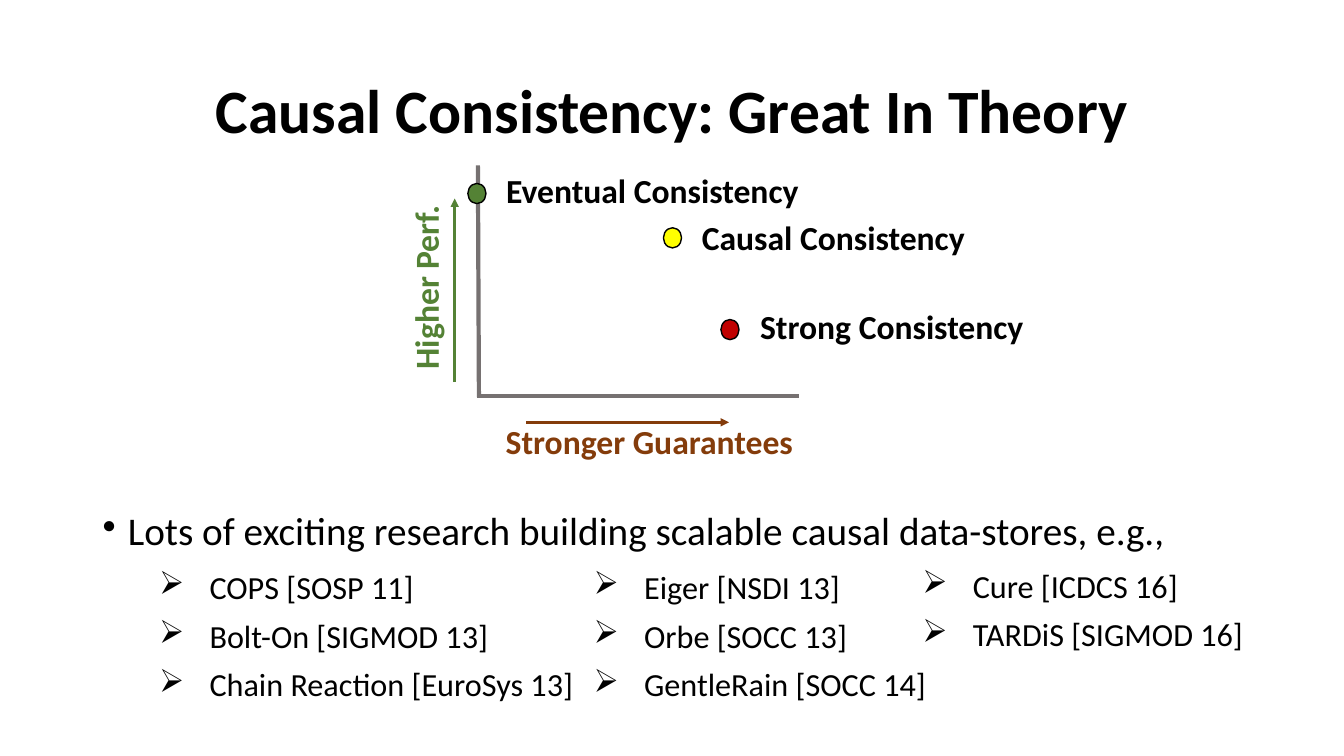
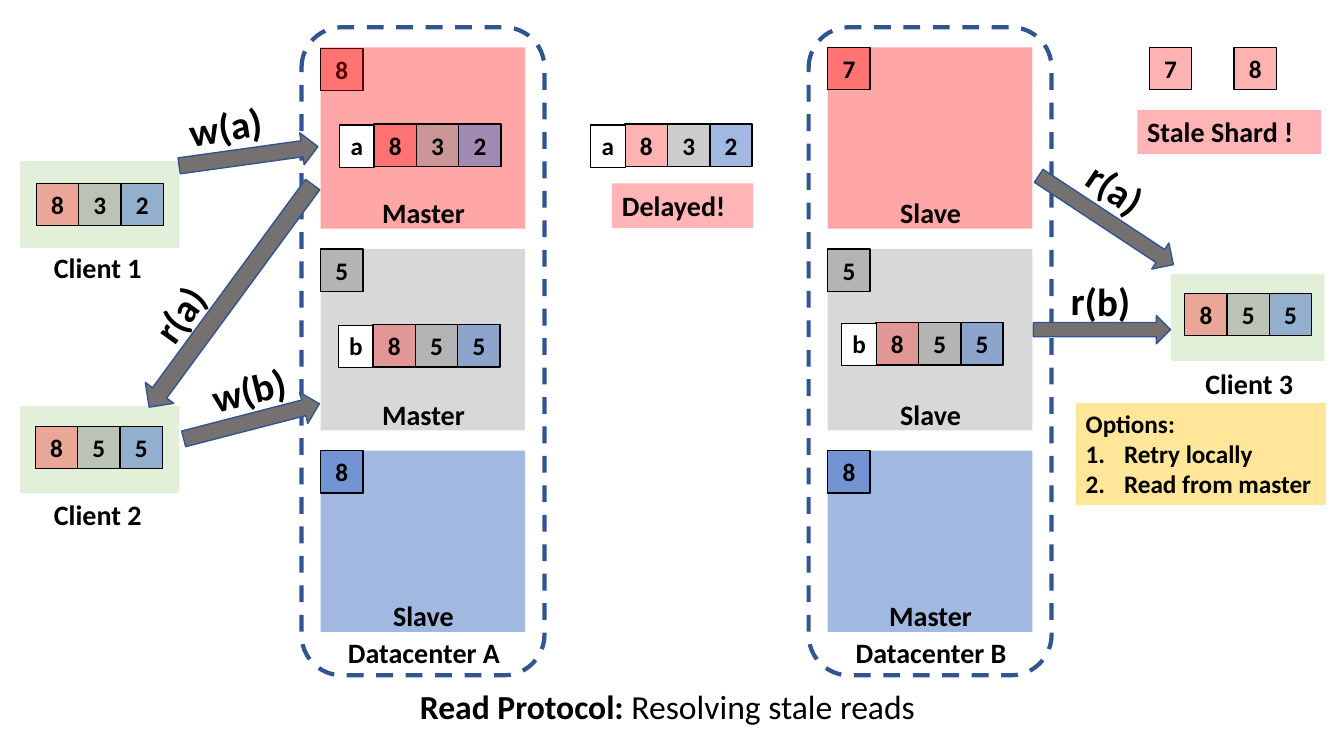
"""Build two slides on causal consistency: the trade-off and the read protocol."""
from dataclasses import dataclass, replace

from lxml import etree
from pptx import Presentation
from pptx.dml.color import RGBColor
from pptx.enum import dml, shapes, text
from pptx.oxml import ns
from pptx.shapes.autoshape import Shape
from pptx.slide import Slide
from pptx.util import Inches, Pt

FONT = "Calibri"
BLACK = RGBColor(0x00, 0x00, 0x00)
WHITE = RGBColor(0xFF, 0xFF, 0xFF)
RED = RGBColor(0xFF, 0x00, 0x00)
GREY = RGBColor(0x80, 0x80, 0x80)
BLUE = RGBColor(0x44, 0x72, 0xC4)
NAVY = RGBColor(0x32, 0x54, 0x91)
STONE = RGBColor(0x76, 0x71, 0x71)
GREEN = RGBColor(0x54, 0x82, 0x35)
BROWN = RGBColor(0x84, 0x3C, 0x0B)
YELLOW = RGBColor(0xFF, 0xFF, 0x00)
CRIMSON = RGBColor(0xC0, 0x00, 0x00)
MINT = RGBColor(0xE2, 0xF0, 0xD9)
SAND = RGBColor(0xFF, 0xE6, 0x99)

KIND = shapes.MSO_SHAPE
CENTER = text.PP_ALIGN.CENTER
LEFT = text.PP_ALIGN.LEFT
TOP = text.MSO_ANCHOR.TOP
MIDDLE = text.MSO_ANCHOR.MIDDLE
CELL = 0.42
KEY = 0.34
TILE_W, TILE_H, PITCH = 2.03, 1.8, 2.0


@dataclass(frozen=True)
class Look:
    size: float = 20
    color: RGBColor = BLACK
    bold: bool = True
    align: text.PP_ALIGN = CENTER
    anchor: text.MSO_ANCHOR = TOP
    leading: float = 1.0
    before: float = 0
    bullet: str = ""
    indent: float = 0
    plain: int = 0


@dataclass(frozen=True)
class Box:
    x: float
    y: float
    w: float
    h: float
    turn: float = 0


@dataclass(frozen=True)
class Paint:
    color: RGBColor
    alpha: int = 100


@dataclass(frozen=True)
class Edge:
    color: RGBColor = BLACK
    width: float = 1
    dash: bool = False


@dataclass(frozen=True)
class Point:
    label: str
    color: RGBColor
    dot: tuple[float, float]
    box: Box


@dataclass(frozen=True)
class Stroke:
    start: tuple[float, float]
    end: tuple[float, float]
    color: RGBColor
    width: float
    head: bool = False


@dataclass(frozen=True)
class Strip:
    x: float
    y: float
    values: str
    key: str = ""


@dataclass(frozen=True)
class Client:
    name: str
    box: Box
    label: Box
    strip: Strip


@dataclass(frozen=True)
class Center:
    name: str
    x: float
    counts: str
    roles: tuple[str, ...]
    veiled: bool = False


@dataclass(frozen=True)
class Arrow:
    label: str
    box: Box
    place: Box


TITLE = Look(44, anchor=MIDDLE, leading=0.9)
TAG = Look()
MARK = Look(18, anchor=MIDDLE)
CHART = Look(24)
LEAD = Look(28, bold=False, align=LEFT, leading=0.9, before=10, bullet="•", indent=0.25)
LIST = replace(LEAD, size=23, bullet="➢", indent=0.5)
NOTE = Look(align=LEFT)
STEPS = replace(NOTE, size=18, bullet="1.", indent=0.38, plain=1)

CELLS = (Paint(RED, 30), Paint(GREY, 40), Paint(BLUE, 50))
TILES = (Paint(RED, 35), Paint(GREY, 30), Paint(BLUE, 50))
BLUSH = Paint(RED, 29)

POINTS = (
    Point("Causal Consistency", YELLOW, (6.58, 2.26), Box(6.62, 2.1, 3.29, 0.5)),
    Point("Strong Consistency", CRIMSON, (7.15, 3.17), Box(7.24, 2.99, 3.21, 0.5)),
    Point("Eventual Consistency", GREEN, (4.64, 1.82), Box(4.73, 1.64, 3.48, 0.5)),
)
STROKES = (
    Stroke((4.74, 1.64), (4.75, 3.94), STONE, 3),
    Stroke((7.92, 3.93), (4.73, 3.93), STONE, 3),
    Stroke((4.51, 3.79), (4.51, 1.97), GREEN, 2, True),
    Stroke((5.22, 4.19), (7.23, 4.19), BROWN, 2, True),
)
PAPERS = (
    (Box(1.48, 5.62, 4.4, 1.43),
     ("COPS [SOSP 11]", "Bolt-On [SIGMOD 13]", "Chain Reaction [EuroSys 13]")),
    (Box(5.79, 5.62, 4.41, 1.43),
     ("Eiger [NSDI 13]", "Orbe [SOCC 13]", "GentleRain [SOCC 14]")),
    (Box(9.05, 5.61, 3.62, 0.94), ("Cure [ICDCS 16]", "TARDiS [SIGMOD 16]")),
)
CENTERS = (
    Center("Datacenter A", 3.18, "858", ("Master", "Master", "Slave"), True),
    Center("Datacenter B", 8.21, "758", ("Slave", "Slave", "Master")),
)
CLIENTS = (
    Client("Client 1", Box(0.2, 1.6, 1.58, 0.86), Box(0.25, 2.44, 1.44, 0.44),
           Strip(0.36, 1.82, "832")),
    Client("Client 2", Box(0.2, 4.03, 1.58, 0.86), Box(0.25, 4.89, 1.44, 0.44),
           Strip(0.35, 4.23, "855")),
    Client("Client 3", Box(11.61, 2.72, 1.53, 0.86), Box(11.67, 3.59, 1.44, 0.44),
           Strip(11.75, 2.91, "855")),
)
STRIPS = (
    Strip(6.2, 1.23, "832", "a"),
    Strip(3.71, 1.23, "832", "a"),
    Strip(3.7, 3.22, "855", "b"),
    Strip(8.69, 3.2, "855", "b"),
)
ARROWS = (
    Arrow("w(a)", Box(1.77, 1.39, 1.39, 0.32, 352.1), Box(1.7, 0.97, 1.07, 0.57, 351)),
    Arrow("r(a)", Box(0.92, 2.76, 2.74, 0.35, 126.3), Box(1.24, 2.83, 1.07, 0.57, 305.8)),
    Arrow("w(b)", Box(1.8, 4.02, 1.39, 0.32, 345.5), Box(1.93, 3.58, 1.07, 0.57, 346.1)),
    Arrow("r(b)", Box(10.25, 3.13, 1.36, 0.28), Box(10.38, 2.7, 1.07, 0.57, 0.6)),
    Arrow("r(a)", Box(10.17, 2.03, 1.6, 0.31, 33.4), Box(10.43, 1.58, 1.27, 0.57, 33.9)),
)
NOTES = (
    (Box(11.28, 1.09, 1.82, 0.44), BLUSH, ("Stale Shard !",), NOTE),
    (Box(6.07, 1.82, 1.4, 0.44), BLUSH, ("Delayed!",), NOTE),
    (Box(10.67, 4, 2.48, 1.01), Paint(SAND),
     ("Options:", "Retry locally", "Read from master"), STEPS),
)


def write(shape: Shape, lines: tuple[str, ...], look: Look) -> None:
    frame = shape.text_frame
    frame.word_wrap = True
    frame.vertical_anchor = look.anchor
    for i, line in enumerate(lines):
        para = frame.paragraphs[0] if i == 0 else frame.add_paragraph()
        para.text = line
        para.alignment = look.align
        if look.bullet and i >= look.plain:
            props = para._p.get_or_add_pPr()
            props.set("marL", str(Inches(look.indent)))
            props.set("indent", str(-Inches(look.indent)))
            if look.bullet == "1.":
                etree.SubElement(props, ns.qn("a:buAutoNum"), type="arabicPeriod")
            else:
                etree.SubElement(props, ns.qn("a:buChar"), char=look.bullet)
        para.line_spacing = look.leading
        para.space_before = Pt(look.before if i else 0)
        para.font.name = FONT
        para.font.size = Pt(look.size)
        para.font.bold = look.bold
        para.font.color.rgb = look.color


def label(slide: Slide, box: Box, look: Look, *lines: str) -> Shape:
    shape = slide.shapes.add_textbox(*map(Inches, (box.x, box.y, box.w, box.h)))
    shape.rotation = box.turn
    write(shape, lines, look)
    return shape


def block(slide: Slide, box: Box, paint: Paint | None = None, edge: Edge | None = None,
          kind: shapes.MSO_SHAPE = KIND.RECTANGLE) -> Shape:
    shape = slide.shapes.add_shape(kind, *map(Inches, (box.x, box.y, box.w, box.h)))
    shape.rotation = box.turn
    shape.shadow.inherit = False
    if paint:
        shape.fill.solid()
        shape.fill.fore_color.rgb = paint.color
        if paint.alpha < 100:
            tint = shape._element.spPr.find(".//" + ns.qn("a:srgbClr"))
            etree.SubElement(tint, ns.qn("a:alpha"), val=str(paint.alpha * 1000))
    else:
        shape.fill.background()
    if edge:
        shape.line.color.rgb = edge.color
        shape.line.width = Pt(edge.width)
        if edge.dash:
            shape.line.dash_style = dml.MSO_LINE.DASH
    else:
        shape.line.fill.background()
    return shape


def stroke(slide: Slide, item: Stroke) -> None:
    line = slide.shapes.add_connector(
        shapes.MSO_CONNECTOR.STRAIGHT, *map(Inches, item.start + item.end))
    line.line.color.rgb = item.color
    line.line.width = Pt(item.width)
    if item.head:
        etree.SubElement(line.line._get_or_add_ln(), ns.qn("a:tailEnd"), type="triangle")
    etree.SubElement(line._element.spPr, ns.qn("a:effectLst"))


def cell(slide: Slide, x: float, y: float, value: str, paint: Paint) -> None:
    write(block(slide, Box(x, y, CELL, CELL), paint, Edge()), (value,), MARK)


def strip(slide: Slide, item: Strip) -> None:
    for i, (value, paint) in enumerate(zip(item.values, CELLS)):
        cell(slide, item.x + i * CELL, item.y, value, paint)
    if item.key:
        box = Box(item.x - KEY, item.y + 0.01, KEY, CELL)
        write(block(slide, box, Paint(WHITE), Edge(width=0.75)), (item.key,),
              replace(MARK, anchor=TOP))


def center(slide: Slide, item: Center) -> None:
    block(slide, Box(item.x - 0.19, 0.27, 2.41, 6.43), edge=Edge(NAVY, 3, True),
          kind=KIND.ROUNDED_RECTANGLE)
    for i, (count, role) in enumerate(zip(item.counts, item.roles)):
        y = 0.47 + i * PITCH
        veiled = item.veiled and i == 0
        if veiled:
            cell(slide, item.x, y + 0.01, count, CELLS[i])
        block(slide, Box(item.x, y, TILE_W, TILE_H), TILES[i])
        if not veiled:
            cell(slide, item.x, y, count, CELLS[i])
        label(slide, Box(item.x + 0.3, y + 1.42, 1.44, 0.44), TAG, role)
    label(slide, Box(item.x + 0.16, 6.26, 1.73, 0.44), TAG, item.name)


def theory(slide: Slide) -> None:
    label(slide, Box(0.92, 0.4, 11.5, 1.45), TITLE, "Causal Consistency: Great In Theory")
    label(slide, Box(0.92, 5.03, 11.5, 0.53), LEAD,
          "Lots of exciting research building scalable causal data-stores, e.g.,")
    for item in STROKES:
        stroke(slide, item)
    label(slide, Box(2.49, 2.6, 3.46, 0.5, 270), replace(CHART, color=GREEN), "Higher Perf.")
    label(slide, Box(4.66, 4.13, 3.56, 0.5), replace(CHART, color=BROWN),
          "Stronger Guarantees")
    for point in POINTS:
        label(slide, point.box, CHART, point.label)
        block(slide, Box(*point.dot, 0.18, 0.2), Paint(point.color), Edge(), KIND.OVAL)
    for box, names in PAPERS:
        label(slide, box, LIST, *names)


def reads(slide: Slide) -> None:
    for item in CENTERS:
        center(slide, item)
    for client in CLIENTS:
        block(slide, client.box, Paint(MINT))
        label(slide, client.label, TAG, client.name)
        strip(slide, client.strip)
    for row in STRIPS:
        strip(slide, row)
    for arrow in ARROWS:
        block(slide, arrow.box, Paint(STONE), Edge(NAVY), KIND.RIGHT_ARROW)
        label(slide, arrow.place, Look(28), arrow.label)
    for i, value in enumerate("78"):
        cell(slide, 11.4 + i * 2 * CELL, 0.47, value, CELLS[0])
    for box, paint, lines, look in NOTES:
        write(block(slide, box, paint), lines, look)
    foot = label(slide, Box(0.2, 6.76, 12.84, 0.5), replace(CHART, bold=False),
                 "Read Protocol:")
    para = foot.text_frame.paragraphs[0]
    para.runs[0].font.bold = True
    para.add_run().text = " Resolving stale reads"


def main() -> None:
    deck = Presentation()
    deck.slide_width, deck.slide_height = Inches(13.33), Inches(7.5)
    for draw in (theory, reads):
        draw(deck.slides.add_slide(deck.slide_layouts[6]))
    deck.save("out.pptx")


if __name__ == "__main__":
    main()
